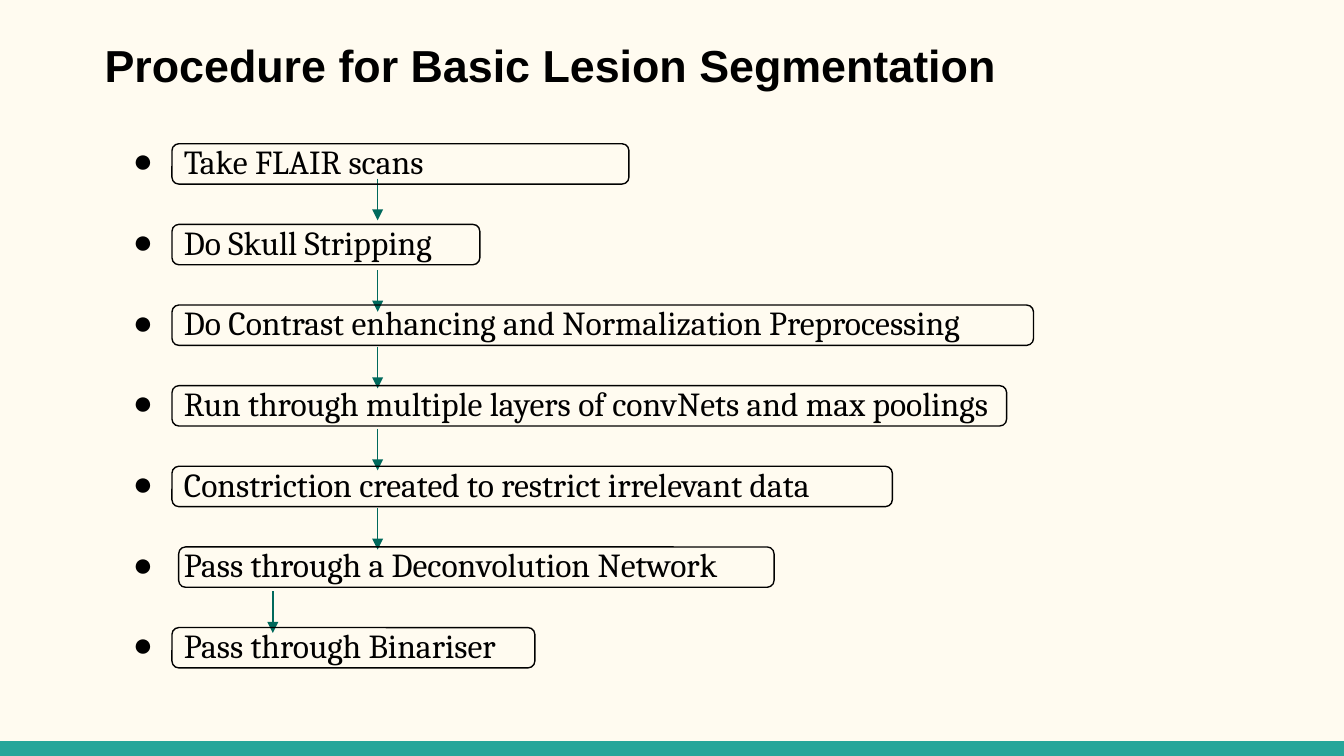
from lxml import etree
from pptx import Presentation
from pptx import util as u
from pptx.dml.color import RGBColor
from pptx.enum import shapes, text
from pptx.oxml import ns

# Content: step, box width, box shift to the right
TITLE = "Procedure for Basic Lesion Segmentation"
STEPS = [
    ("Take FLAIR scans", 3.4, 0),
    ("Do Skull Stripping", 2.29, 0),
    ("Do Contrast enhancing and Normalization Preprocessing", 6.41, 0),
    ("Run through multiple layers of convNets and max poolings", 6.21, 0),
    ("Constriction created to restrict irrelevant data", 5.36, 0),
    ("Pass through a Deconvolution Network", 4.43, 0.05),
    ("Pass through Binariser", 2.7, 0),
]
# Arrow x and start y
ARROWS = [(2.81, 1.33), (2.81, 2.01), (2.81, 2.58),
          (2.81, 3.19), (2.81, 3.78), (2.03, 4.4)]

THEME = {
    "background": "FFFBF0", "bar": "26A69A", "arrow": "00695C", "ink": "000000",
    "title_font": "Arial", "title_size": 24,
    "body_font": "Cambria", "body_size": 18,
    "bullet_font": "Arial", "line_width": 0.75,
}

# Layout in inches, on a 16:9 slide
WIDTH = 10
HEIGHT = WIDTH * 9 / 16
BAR_HEIGHT = 0.11
BOX_LEFT, BOX_TOP, BOX_HEIGHT = 1.28, 1.07, 0.3
ROW_PITCH = 0.6
ARROW_LENGTH = 0.31


def color(name):
    return RGBColor.from_string(THEME[name])


def add_element(parent, tag, **attributes):
    return etree.SubElement(parent, ns.qn(tag), attributes)


def add_text_box(slide, left, top, width, height):
    frame = slide.shapes.add_textbox(*map(u.Inches, (left, top, width, height))).text_frame
    frame.word_wrap = True
    frame.margin_left = frame.margin_right = u.Inches(0.1)
    frame.margin_top = frame.margin_bottom = u.Inches(0.1)
    frame.vertical_anchor = text.MSO_ANCHOR.TOP
    return frame


def add_run(paragraph, words, kind, bold=False):
    run = paragraph.add_run()
    run.text = words
    run.font.name = THEME[kind + "_font"]
    run.font.size = u.Pt(THEME[kind + "_size"])
    run.font.bold = bold
    run.font.color.rgb = color("ink")


def add_bullet(paragraph):
    properties = paragraph._p.get_or_add_pPr()
    properties.set("marL", str(u.Inches(0.5)))
    properties.set("indent", str(u.Inches(-0.38)))
    bullet_color = add_element(properties, "a:buClr")
    add_element(bullet_color, "a:srgbClr", val=THEME["ink"])
    add_element(properties, "a:buFont", typeface=THEME["bullet_font"])
    add_element(properties, "a:buChar", char="●")


def add_shape(slide, preset, left, top, width, height):
    shape = slide.shapes.add_shape(preset, *map(u.Inches, (left, top, width, height)))
    shape.shadow.inherit = False
    return shape


def add_arrow(slide, x, top):
    arrow = slide.shapes.add_connector(
        shapes.MSO_CONNECTOR.STRAIGHT,
        *map(u.Inches, (x, top, x, top + ARROW_LENGTH)))
    arrow.line.color.rgb = color("arrow")
    arrow.line.width = u.Pt(THEME["line_width"])
    add_element(arrow.line._get_or_add_ln(), "a:tailEnd", type="triangle")
    add_element(arrow._element.spPr, "a:effectLst")


def main():
    presentation = Presentation()
    presentation.slide_width = u.Inches(WIDTH)
    presentation.slide_height = u.Inches(HEIGHT)
    slide = presentation.slides.add_slide(presentation.slide_layouts[6])
    slide.background.fill.solid()
    slide.background.fill.fore_color.rgb = color("background")

    # Bottom bar
    bar = add_shape(slide, shapes.MSO_SHAPE.RECTANGLE,
                    0, HEIGHT - BAR_HEIGHT, WIDTH, BAR_HEIGHT)
    bar.fill.solid()
    bar.fill.fore_color.rgb = color("bar")
    bar.line.fill.background()

    # Bulleted steps: each line and each gap takes half a row
    frame = add_text_box(slide, 0.77, 0.95, 8.47, 4.45)
    for index, (words, _, _) in enumerate(STEPS):
        paragraph = frame.add_paragraph() if index else frame.paragraphs[0]
        paragraph.line_spacing = u.Inches(ROW_PITCH / 2)
        if index:
            paragraph.space_before = u.Inches(ROW_PITCH / 2)
        add_bullet(paragraph)
        add_run(paragraph, words, "body")

    # Arrows between steps
    for x, top in ARROWS:
        add_arrow(slide, x, top)

    # Title
    title = add_text_box(slide, 0.68, 0.18, 8.7, 0.59)
    add_run(title.paragraphs[0], TITLE, "title", bold=True)

    # Outlines around the steps
    for index, (_, width, shift) in enumerate(STEPS):
        box = add_shape(slide, shapes.MSO_SHAPE.ROUNDED_RECTANGLE, BOX_LEFT + shift,
                        BOX_TOP + index * ROW_PITCH, width, BOX_HEIGHT)
        box.adjustments[0] = 0.17
        box.fill.background()
        box.line.color.rgb = color("ink")
        box.line.width = u.Pt(THEME["line_width"])

    presentation.save("out.pptx")


if __name__ == "__main__":
    main()
